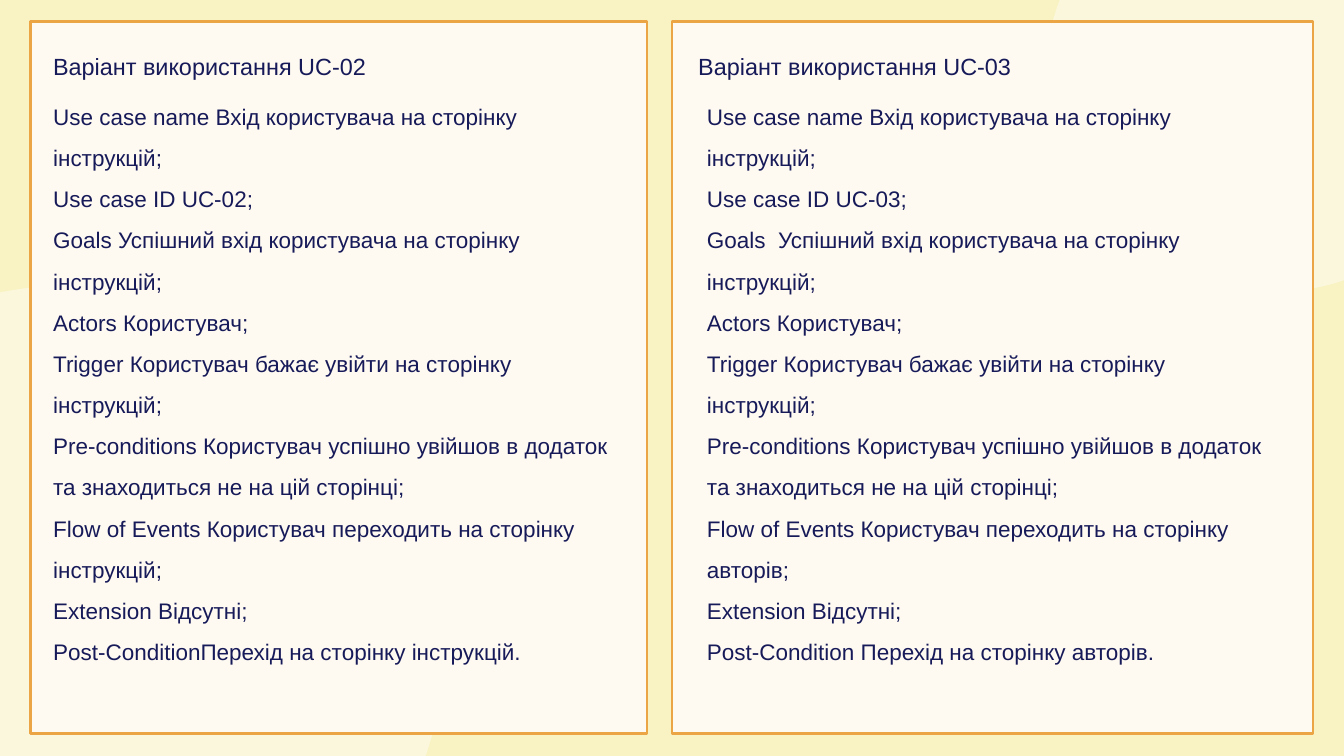
from dataclasses import dataclass

from lxml import etree
from pptx import Presentation
from pptx.dml.color import RGBColor
from pptx.enum.shapes import MSO_SHAPE
from pptx.enum.text import MSO_ANCHOR, PP_ALIGN
from pptx.oxml.ns import qn
from pptx.shapes.autoshape import Shape
from pptx.slide import Slide
from pptx.util import Emu, Pt

OVAL, RECT = MSO_SHAPE.OVAL, MSO_SHAPE.RECTANGLE
LEFT, TOP = PP_ALIGN.LEFT, MSO_ANCHOR.TOP
SCALE = 9144  # EMU in one px, 100 px to the inch


@dataclass(frozen=True)
class Theme:
    back: str = "F9F3C4"
    glow: str = "FFFFFF"
    alpha: int = 41
    card: str = "FEFAF1"
    edge: str = "EBA545"
    ink: str = "171A59"
    font: str = "Arial"
    border: float = 3
    head: float = 25.1
    head_line: float = 46
    body: float = 24.1
    body_line: float = 44.1


@dataclass(frozen=True)
class Box:
    x: int
    y: int
    w: int
    h: int

    def emu(self) -> list[Emu]:
        return [Emu(v * SCALE) for v in (self.x, self.y, self.w, self.h)]


@dataclass(frozen=True)
class Case:
    code: str
    card: Box
    head_x: int
    body_x: int
    goals: str
    flow: str
    post: str

    def lines(self) -> list[str]:
        return [
            "Use case name Вхід користувача на сторінку інструкцій;",
            f"Use case ID {self.code};",
            f"{self.goals}Успішний вхід користувача на сторінку інструкцій;",
            "Actors Користувач;",
            "Trigger Користувач бажає увійти на сторінку інструкцій;",
            "Pre-conditions Користувач успішно увійшов в додаток "
            "та знаходиться не на цій сторінці;",
            f"Flow of Events Користувач переходить на сторінку {self.flow};",
            "Extension Відсутні;",
            f"{self.post}Перехід на сторінку {self.flow}.",
        ]


THEME = Theme()
GLOWS = [Box(-437, 424, 1099, 1063), Box(1556, -210, 668, 645)]
CASES = [
    Case("UC-02", Box(46, 32, 917, 1060), 79, 79,
         "Goals ", "інструкцій", "Post-Condition"),
    Case("UC-03", Box(1000, 32, 954, 1060), 1039, 1052,
         "Goals  ", "авторів", "Post-Condition "),
]


def add_shape(slide: Slide, kind: int, box: Box, fill: str) -> Shape:
    shape = slide.shapes.add_shape(kind, *box.emu())
    shape.shadow.inherit = False
    shape.fill.solid()
    shape.fill.fore_color.rgb = RGBColor.from_string(fill)
    return shape


def add_glow(slide: Slide, box: Box) -> None:
    shape = add_shape(slide, OVAL, box, THEME.glow)
    shape.line.fill.background()
    color = shape.fill._xPr.find(qn("a:solidFill"))[0]
    etree.SubElement(color, qn("a:alpha"), val=str(THEME.alpha * 1000))


def add_card(slide: Slide, box: Box) -> None:
    shape = add_shape(slide, RECT, box, THEME.card)
    shape.line.color.rgb = RGBColor.from_string(THEME.edge)
    shape.line.width = Pt(THEME.border)


def add_text(slide: Slide, box: Box, lines: list[str],
             size: float, pitch: float) -> None:
    frame = slide.shapes.add_textbox(*box.emu()).text_frame
    frame.word_wrap = True
    frame.vertical_anchor = TOP
    frame.margin_left = frame.margin_right = 0
    frame.margin_top = frame.margin_bottom = 0
    frame.text = "\n".join(lines)
    for para in frame.paragraphs:
        para.alignment = LEFT
        para.line_spacing = Pt(pitch)
        for run in para.runs:
            run.font.name = THEME.font
            run.font.size = Pt(size)
            run.font.color.rgb = RGBColor.from_string(THEME.ink)


def main() -> None:
    deck = Presentation()
    deck.slide_width = Emu(2000 * SCALE)
    deck.slide_height = Emu(1125 * SCALE)
    slide = deck.slides.add_slide(deck.slide_layouts[6])

    # Background with two pale circles
    slide.background.fill.solid()
    slide.background.fill.fore_color.rgb = RGBColor.from_string(THEME.back)
    for glow in GLOWS:
        add_glow(slide, glow)

    # One card for each use case
    for case in CASES:
        add_card(slide, case.card)
        add_text(slide, Box(case.body_x, 132, 851, 842), case.lines(),
                 THEME.body, THEME.body_line)
        add_text(slide, Box(case.head_x, 55, 851, 59),
                 [f"Варіант використання {case.code}"],
                 THEME.head, THEME.head_line)

    deck.save("out.pptx")


if __name__ == "__main__":
    main()
